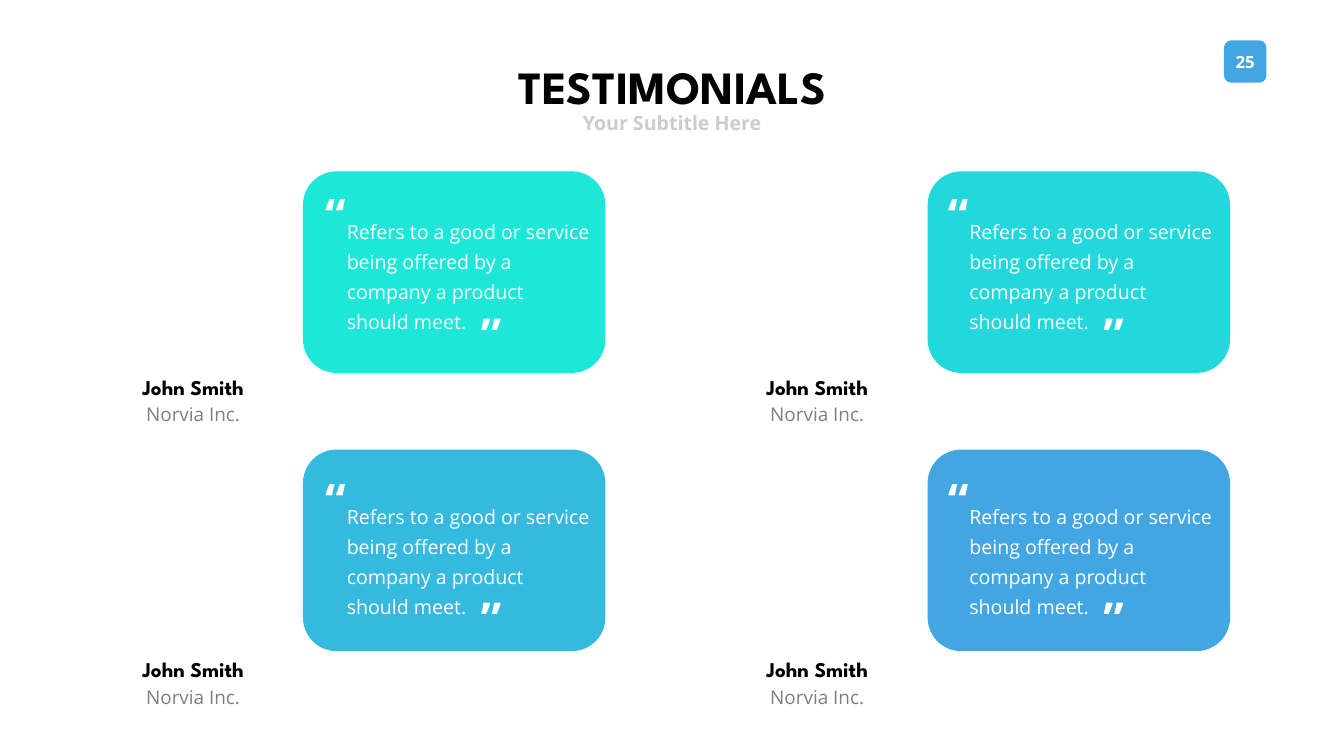
from pptx import Presentation
from pptx.dml.color import RGBColor
from pptx.enum.shapes import MSO_SHAPE as Shape
from pptx.enum.text import MSO_ANCHOR as Anchor, MSO_AUTO_SIZE as AutoSize, PP_ALIGN as Align
from pptx.util import Pt

WHITE = RGBColor(0xFF, 0xFF, 0xFF)
BLACK = RGBColor(0x00, 0x00, 0x00)
LIGHT_GRAY = RGBColor(0xCC, 0xCC, 0xCC)
GRAY = RGBColor(0x7F, 0x7F, 0x7F)
AQUA = RGBColor(0x1D, 0xE7, 0xD8)
CYAN = RGBColor(0x23, 0xD8, 0xDC)
SKY = RGBColor(0x34, 0xB9, 0xDF)
BLUE = RGBColor(0x42, 0xA6, 0xE3)

HEADING_FONT = "League Spartan"
BODY_FONT = "Open Sans"

# Left edges of the person, card and quote; top edges of the card, quote and person
COLUMNS = [(181.44, 432.72, 488.16), (1072.8, 1324.8, 1377.36)]
ROWS = [(244.8, 300.96, 530.64), (642.24, 707.76, 934.56)]
CARD_COLORS = [[AQUA, CYAN], [SKY, BLUE]]

QUOTE = "Refers to a good or service being offered by a company a product should meet."


def place(shape, left, top, width, height):
    shape.left, shape.top = Pt(left), Pt(top)
    shape.width, shape.height = Pt(width), Pt(height)


def write(shape, text, size, color, font=BODY_FONT, bold=False, align=Align.CENTER,
          anchor=Anchor.MIDDLE, line=None, insets=(7.2, 3.6), wrap=False,
          fit=AutoSize.SHAPE_TO_FIT_TEXT):
    frame = shape.text_frame
    frame.word_wrap = wrap
    frame.auto_size = fit
    frame.vertical_anchor = anchor
    frame.margin_left = frame.margin_right = Pt(insets[0])
    frame.margin_top = frame.margin_bottom = Pt(insets[1])
    para = frame.paragraphs[0]
    para.text = text
    para.alignment = align
    para.space_before = Pt(0)
    if line:
        para.line_spacing = Pt(line)
    para.font.name = font
    para.font.size = Pt(size)
    para.font.bold = bold
    para.font.color.rgb = color


def add_text(slide, bounds, text, size, color, **style):
    box = slide.shapes.add_textbox(*map(Pt, bounds))
    write(box, text, size, color, **style)
    return box


def add_rounded(slide, bounds, color):
    shape = slide.shapes.add_shape(Shape.ROUNDED_RECTANGLE, *map(Pt, bounds))
    shape.shadow.inherit = False
    shape.fill.solid()
    shape.fill.fore_color.rgb = color
    shape.line.fill.background()
    return shape


def add_heading(slide):
    title, subtitle = slide.shapes.title, slide.placeholders[1]
    place(title, 695.52, 58.32, 529.92, 102.96)
    write(title, "TESTIMONIALS", 66, BLACK, font=HEADING_FONT, bold=True,
          anchor=Anchor.TOP, line=100)
    place(subtitle, 823.68, 154.8, 272.16, 41.04)
    write(subtitle, "Your Subtitle Here", 28, LIGHT_GRAY, bold=True)


def add_page_number(slide):
    badge = add_rounded(slide, (1748.16, 57.6, 60.48, 60.48), BLUE)
    write(badge, "25", 24, WHITE, bold=True, insets=(0, 0), fit=AutoSize.NONE)


def add_quote_mark(slide, left, top, width, rotation=0):
    mark = add_text(slide, (left, top, width, 79.92), "“", 66, WHITE, bold=True,
                    insets=(0, 0), wrap=rotation != 0)
    mark.rotation = rotation


def add_testimonial(slide, column, row, color):
    person_left, card_left, quote_left = column
    card_top, quote_top, person_top = row
    # Card with the quote between its marks
    add_rounded(slide, (card_left, card_top, 432, 288), color)
    add_text(slide, (quote_left, quote_top, 360.72, 180.72), QUOTE, 28, WHITE,
             align=Align.LEFT, anchor=Anchor.TOP, line=43, wrap=True)
    add_quote_mark(slide, quote_left - 25.2, quote_top - 35, 32.4)
    add_quote_mark(slide, quote_left + 189.4, quote_top + 109.8, 47.52, rotation=180)
    # Person and company
    add_text(slide, (person_left, person_top, 188.64, 43.92), "John Smith", 30, BLACK,
             font=HEADING_FONT, bold=True)
    add_text(slide, (person_left + 6.5, person_top + 25, 175.68, 60.48), "Norvia Inc.",
             27, GRAY, anchor=Anchor.TOP, line=43, insets=(17.28, 8.64))


def main():
    deck = Presentation()
    deck.slide_width, deck.slide_height = Pt(1919.52), Pt(1080)
    slide = deck.slides.add_slide(deck.slide_layouts[0])
    add_page_number(slide)
    add_heading(slide)
    for row, colors in zip(ROWS, CARD_COLORS):
        for column, color in zip(COLUMNS, colors):
            add_testimonial(slide, column, row, color)
    deck.save("out.pptx")


if __name__ == "__main__":
    main()
